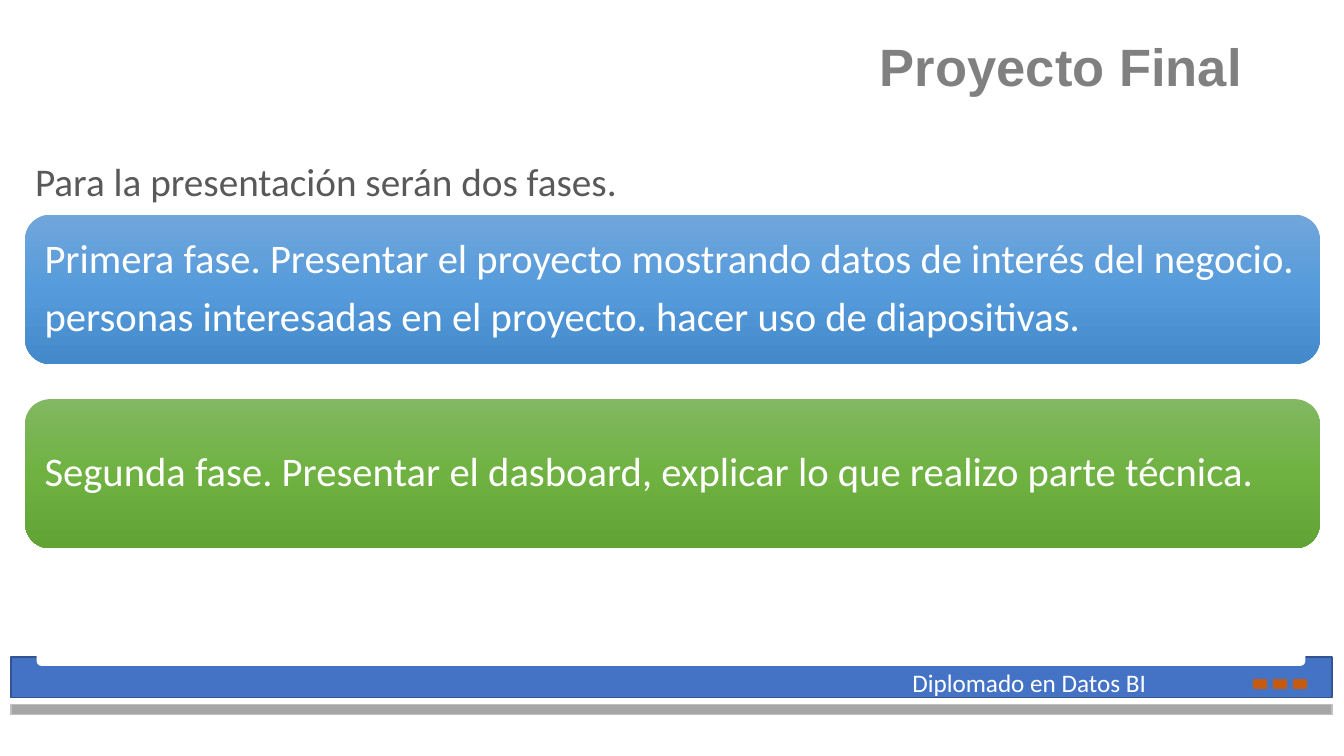
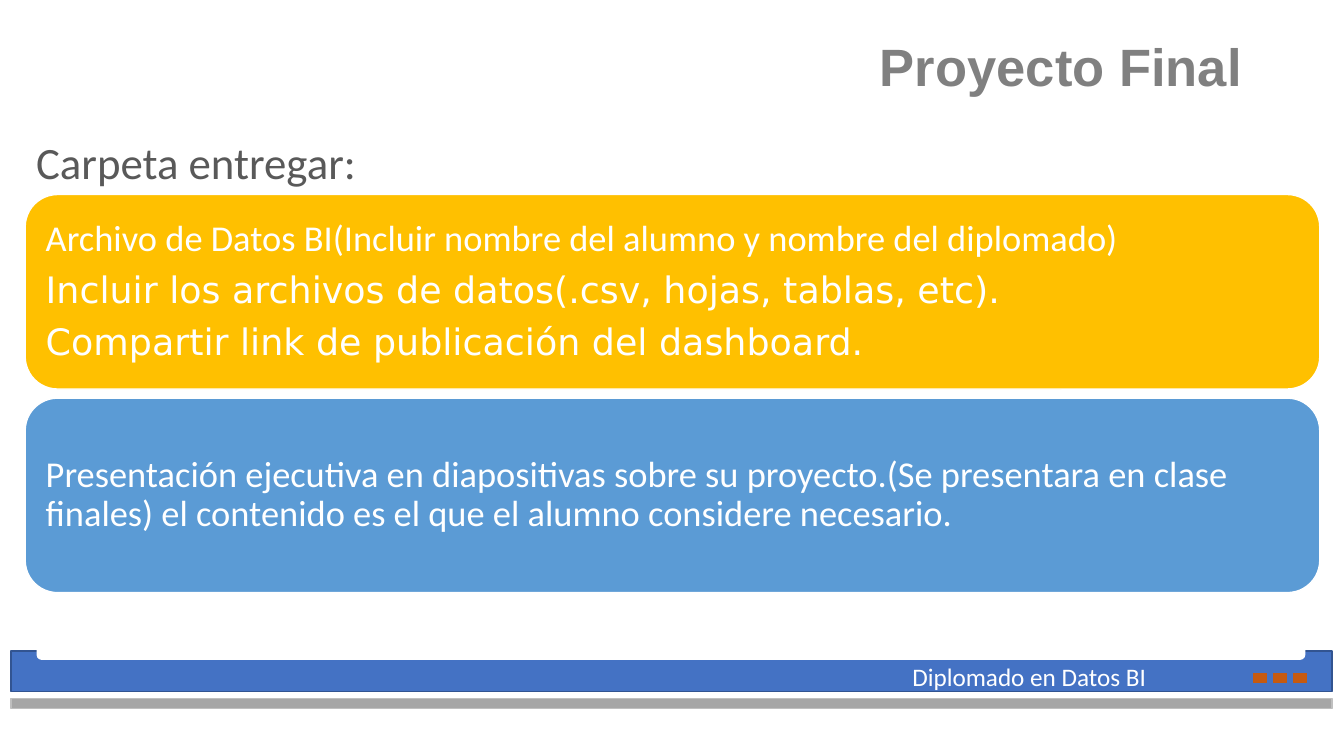
from copy import deepcopy
from dataclasses import dataclass

from pptx import Presentation
from pptx.dml.color import RGBColor
from pptx.enum.shapes import MSO_SHAPE
from pptx.enum.text import MSO_ANCHOR, PP_ALIGN
from pptx.oxml.ns import qn
from pptx.shapes.autoshape import Shape
from pptx.slide import Slide
from pptx.util import Inches, Pt

RECT = MSO_SHAPE.RECTANGLE
ROUNDED = MSO_SHAPE.ROUNDED_RECTANGLE
TOP, MIDDLE, BOTTOM = MSO_ANCHOR.TOP, MSO_ANCHOR.MIDDLE, MSO_ANCHOR.BOTTOM
LEFT, RIGHT = PP_ALIGN.LEFT, PP_ALIGN.RIGHT

COLORS = {
    "title": "808080", "heading": "595959", "white": "FFFFFF",
    "band": "4472C4", "band_edge": "325491",
    "strip": "A6A6A6", "strip_edge": "BFBFBF", "accent": "C55A11",
    "gold": "FFC000", "blue": "5B9BD5",
    "blue_top": "71A6DB", "blue_mid": "559BDB", "blue_end": "448ACA",
    "green_top": "81B861", "green_mid": "6FB242", "green_end": "62A336",
}
SANS, WIDE = "Calibri", "DejaVu Sans"
CARD_LEFT, CARD_WIDTH = 0.25, 12.84
DOT_LEFT, DOT_PITCH, DOT_COUNT = 12.43, 0.2, 3


@dataclass(frozen=True)
class Box:
    left: float
    top: float
    width: float
    height: float

    def lengths(self) -> list[int]:
        return [Inches(v) for v in (self.left, self.top, self.width, self.height)]


@dataclass(frozen=True)
class Line:
    text: str
    font: str = SANS


@dataclass(frozen=True)
class Card:
    fills: tuple[str, ...]
    lines: tuple[Line, ...]


@dataclass(frozen=True)
class Page:
    heading: str
    heading_box: Box
    heading_size: float
    cards: tuple[Card, ...]
    cards_top: float
    card_height: float
    card_pitch: float
    card_inset: float
    card_size: float
    footer_top: float


PAGES = (
    Page(
        "Para la presentación serán dos fases.", Box(0.25, 1.51, 6.67, 0.57), 28,
        (
            Card(("blue_top", "blue_mid", "blue_end"), (
                Line("Primera fase. Presentar el proyecto mostrando datos de interés del negocio."),
                Line("personas interesadas en el proyecto. hacer uso de diapositivas."),
            )),
            Card(("green_top", "green_mid", "green_end"), (
                Line("Segunda fase. Presentar el dasboard, explicar lo que realizo parte técnica."),
            )),
        ),
        cards_top=2.13, card_height=1.48, card_pitch=1.83,
        card_inset=0.12, card_size=29, footer_top=6.52,
    ),
    Page(
        "Carpeta entregar:", Box(0.26, 1.29, 6.67, 0.64), 32,
        (
            Card(("gold",), (
                Line("Archivo de Datos BI(Incluir nombre del alumno y nombre del diplomado)"),
                Line("Incluir los archivos de datos(.csv, hojas, tablas, etc).", WIDE),
                Line("Compartir link de publicación del dashboard.", WIDE),
            )),
            Card(("blue",), (
                Line("Presentación ejecutiva en diapositivas sobre su proyecto.(Se presentara en clase "
                     "finales) el contenido es el que el alumno considere necesario."),
            )),
        ),
        cards_top=1.93, card_height=1.93, card_pitch=2.02,
        card_inset=0.11, card_size=26, footer_top=6.46,
    ),
)


def rgb(name: str) -> RGBColor:
    return RGBColor.from_string(COLORS[name])


def apply_format(target: object, values: dict[str, object]) -> None:
    for attribute, value in values.items():
        setattr(target, attribute, value)


def write_lines(shape: Shape, lines: tuple[Line, ...], size: float, color: str,
                anchor: MSO_ANCHOR = TOP, bold: bool = False,
                **paragraph_format: object) -> None:
    frame = shape.text_frame
    apply_format(frame, {"word_wrap": True, "vertical_anchor": anchor})
    for index, line in enumerate(lines):
        paragraph = frame.add_paragraph() if index else frame.paragraphs[0]
        apply_format(paragraph, {"alignment": LEFT, **paragraph_format})
        run = paragraph.add_run()
        run.text = line.text
        apply_format(run.font, {"name": line.font, "size": Pt(size), "bold": bold})
        run.font.color.rgb = rgb(color)


def add_label(slide: Slide, box: Box, line: Line, size: float, color: str,
              **text_format: object) -> None:
    label = slide.shapes.add_textbox(*box.lengths())
    write_lines(label, (line,), size, color, **text_format)


def paint(shape: Shape, fills: tuple[str, ...]) -> None:
    if len(fills) == 1:
        shape.fill.solid()
        shape.fill.fore_color.rgb = rgb(fills[0])
        return
    shape.fill.gradient()
    shape.fill.gradient_angle = 270
    stop_list = next(shape.element.iter(qn("a:gsLst")))
    while len(stop_list) < len(fills):
        stop_list.append(deepcopy(stop_list[0]))
    for index, (stop, name) in enumerate(zip(shape.fill.gradient_stops, fills)):
        stop.position = index / (len(fills) - 1)
        stop.color.rgb = rgb(name)


def add_block(slide: Slide, kind: MSO_SHAPE, box: Box, fills: tuple[str, ...],
              edge: str | None = None) -> Shape:
    block = slide.shapes.add_shape(kind, *box.lengths())
    block.shadow.inherit = False
    paint(block, fills)
    if edge:
        block.line.color.rgb = rgb(edge)
        block.line.width = Pt(1)
    else:
        block.line.fill.background()
    return block


def add_footer(slide: Slide, top: float) -> None:
    add_block(slide, RECT, Box(0.11, top, 13.1, 0.4), ("band",), "band_edge")
    add_block(slide, ROUNDED, Box(0.37, top - 0.18, 12.57, 0.26), ("white",), "white")
    add_block(slide, RECT, Box(0.11, top + 0.47, 13.1, 0.1), ("strip",), "strip_edge")
    for index in range(DOT_COUNT):
        dot = Box(DOT_LEFT + index * DOT_PITCH, top + 0.22, 0.13, 0.09)
        add_block(slide, RECT, dot, ("accent",), "accent")
    add_label(slide, Box(8.95, top + 0.05, 3.45, 0.4),
              Line("Diplomado en Datos BI"), 18, "white")


def add_cards(slide: Slide, page: Page) -> None:
    inset = Inches(page.card_inset)
    for index, card in enumerate(page.cards):
        box = Box(CARD_LEFT, page.cards_top + index * page.card_pitch,
                  CARD_WIDTH, page.card_height)
        edge = "white" if len(card.fills) == 1 else None
        panel = add_block(slide, ROUNDED, box, card.fills, edge)
        apply_format(panel.text_frame, {
            "margin_left": inset, "margin_right": inset,
            "margin_top": inset, "margin_bottom": inset,
        })
        write_lines(panel, card.lines, page.card_size, "white", anchor=MIDDLE,
                    line_spacing=0.9, space_after=Pt(round(page.card_size * 0.35)))


def add_page(presentation: Presentation, page: Page) -> None:
    slide = presentation.slides.add_slide(presentation.slide_layouts[6])
    add_label(slide, Box(6.52, 0.4, 5.9, 0.6), Line("Proyecto Final", "Arial"), 37.5, "title",
              anchor=BOTTOM, bold=True, alignment=RIGHT, line_spacing=0.7)
    add_footer(slide, page.footer_top)
    add_cards(slide, page)
    add_label(slide, page.heading_box, Line(page.heading), page.heading_size, "heading")


def main() -> None:
    presentation = Presentation()
    presentation.slide_width = Inches(13.33)
    presentation.slide_height = Inches(7.5)
    for page in PAGES:
        add_page(presentation, page)
    presentation.save("out.pptx")


if __name__ == "__main__":
    main()
